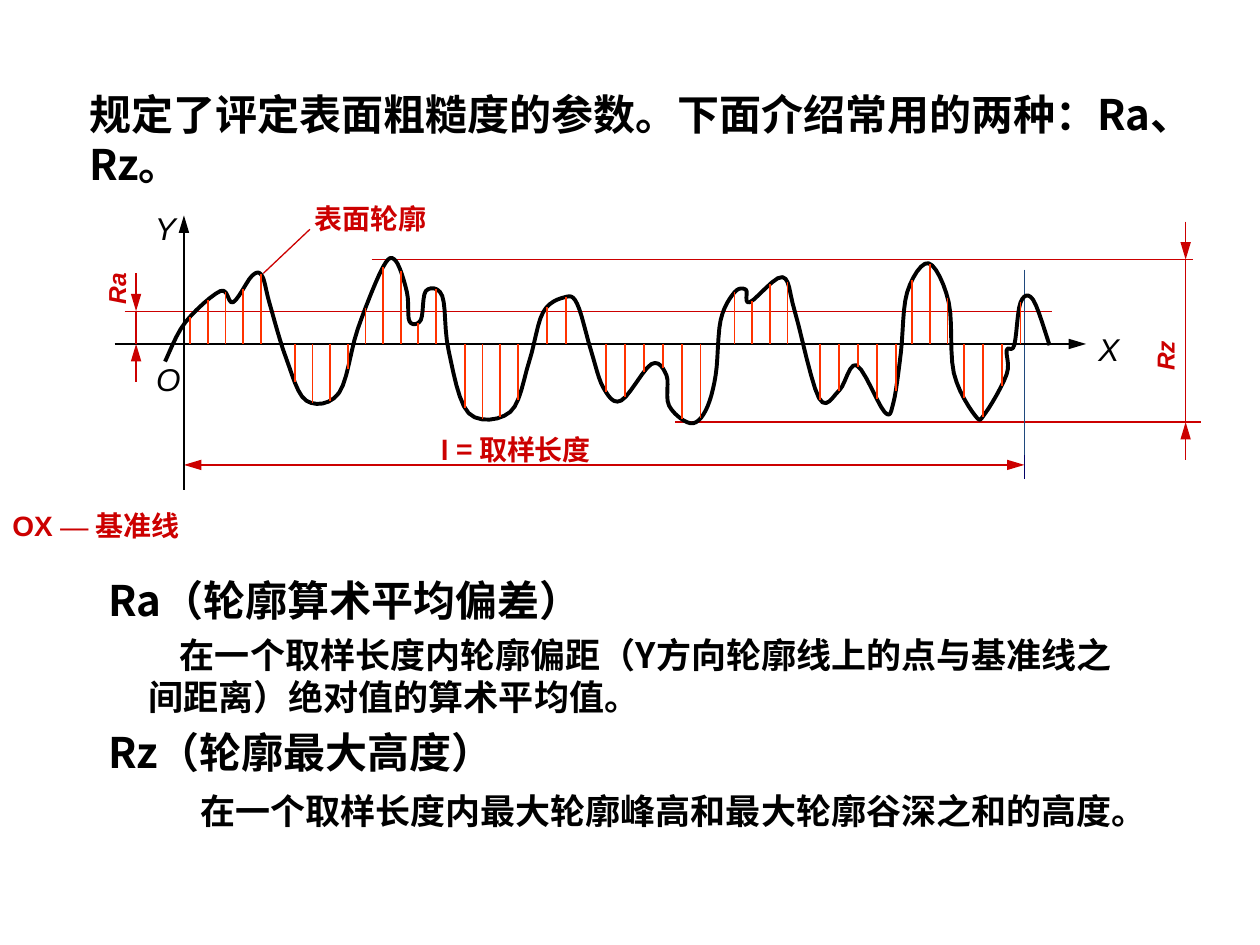
from dataclasses import dataclass

from lxml.etree import SubElement
from pptx import Presentation
from pptx.dml.color import RGBColor
from pptx.enum.shapes import MSO_CONNECTOR
from pptx.enum.text import MSO_AUTO_SIZE
from pptx.oxml.ns import qn
from pptx.util import Inches, Pt

COLORS = {
    "ink": "000000",
    "dimension": "CC0000",
    "hatch": "FF3300",
    "limit": "000066",
    "limit_edge": "1F497D",
}
CJK_FONT = "Noto Sans CJK SC"
BASELINE = 2.73
PEAK, VALLEY, MEAN = 2.06, 3.35, 2.47
ORIGIN_X, SAMPLE_END, RZ_X, RA_X = 1.46, 8.13, 9.41, 1.08
ARROW_REACH = 0.3
CURVE_STEPS = 6

Point = tuple[float, float]


@dataclass
class Line:
    start: Point
    end: Point
    color: str = "dimension"
    width: float = 0.75
    head: bool = False
    tail: bool = False


@dataclass
class Label:
    left: float
    top: float
    width: float
    paragraphs: list[list[tuple[str, str]]]
    size: int = 16
    color: str = "dimension"
    bold: bool = True
    italic: bool = False
    rotation: int = 0
    wrap: bool = True
    indent: float = 0
    gap: float = 0


@dataclass
class HatchGroup:
    start: float
    count: int
    pitch: float = 0.14


def draw_line(slide, line: Line) -> None:
    ends = [Inches(value) for value in (*line.start, *line.end)]
    connector = slide.shapes.add_connector(MSO_CONNECTOR.STRAIGHT, *ends)
    connector.line.color.rgb = RGBColor.from_string(COLORS[line.color])
    connector.line.width = Pt(line.width)
    outline = connector.line._get_or_add_ln()
    for tag, shown in (("a:headEnd", line.head), ("a:tailEnd", line.tail)):
        if shown:
            SubElement(outline, qn(tag), type="triangle", w="med", len="lg")
    SubElement(connector._element.spPr, qn("a:effectLst"))


def draw_gauge(slide, x: float, top: float, bottom: float) -> None:
    draw_line(slide, Line((x, top - ARROW_REACH), (x, top), tail=True))
    draw_line(slide, Line((x, top), (x, bottom)))
    draw_line(slide, Line((x, bottom + ARROW_REACH), (x, bottom), tail=True))


def draw_label(slide, label: Label) -> None:
    height = 0.1 + label.size * 1.2 / 72
    box = slide.shapes.add_textbox(*map(Inches, (label.left, label.top, label.width, height)))
    box.rotation = label.rotation
    frame = box.text_frame
    frame.word_wrap = label.wrap
    frame.auto_size = MSO_AUTO_SIZE.SHAPE_TO_FIT_TEXT
    for index, runs in enumerate(label.paragraphs):
        paragraph = frame.paragraphs[0] if index == 0 else frame.add_paragraph()
        if index:
            paragraph.space_before = Pt(label.gap)
        if label.indent:
            paragraph._p.get_or_add_pPr().set("indent", str(Inches(label.indent)))
        font = paragraph.font
        font.size = Pt(label.size)
        font.bold = label.bold
        font.italic = label.italic
        font.color.rgb = RGBColor.from_string(COLORS[label.color])
        font.name = runs[0][1]
        defaults = paragraph._p.pPr.find(qn("a:defRPr"))
        SubElement(defaults, qn("a:ea"), typeface=CJK_FONT)
        for text, font_name in runs:
            run = paragraph.add_run()
            run.text = text
            if len(runs) > 1:
                run.font.name = font_name


def smooth_curve(knots: list[Point]) -> list[Point]:
    padded = [knots[0], *knots, knots[-1]]
    curve = [knots[0]]
    for before, start, end, after in zip(padded, padded[1:], padded[2:], padded[3:]):
        for step in range(1, CURVE_STEPS + 1):
            t = step / CURVE_STEPS
            curve.append(tuple(
                b + (c - a) * t / 2
                + (2 * a - 5 * b + 4 * c - d) * t**2 / 2
                + (3 * b - a - 3 * c + d) * t**3 / 2
                for a, b, c, d in zip(before, start, end, after)
            ))
    return curve


def height_at(curve: list[Point], x: float) -> float:
    for (x0, y0), (x1, y1) in zip(curve, curve[1:]):
        if x0 <= x < x1:
            return y0 + (y1 - y0) * (x - x0) / (x1 - x0)
    return BASELINE


def draw_profile(slide, curve: list[Point]) -> None:
    points = [(Inches(x), Inches(y)) for x, y in curve]
    builder = slide.shapes.build_freeform(*points[0])
    builder.add_line_segments(points[1:], close=False)
    profile = builder.convert_to_shape()
    profile.shadow.inherit = False
    profile.fill.background()
    profile.line.color.rgb = RGBColor.from_string(COLORS["ink"])
    profile.line.width = Pt(2.25)


def draw_hatch(slide, group: HatchGroup, curve: list[Point]) -> None:
    for index in range(group.count):
        x = group.start + index * group.pitch
        draw_line(slide, Line((x, BASELINE), (x, height_at(curve, x)), "hatch", 1))


PROFILE = [
    (1.31, 2.87), (1.47, 2.56), (1.75, 2.31), (1.85, 2.4), (2, 2.19), (2.08, 2.19),
    (2.14, 2.41), (2.27, 2.84), (2.43, 3.18), (2.69, 3.12), (2.84, 2.61), (3.04, 2.12),
    (3.14, 2.07), (3.23, 2.32), (3.25, 2.55), (3.34, 2.54), (3.38, 2.31), (3.51, 2.35),
    (3.56, 2.78), (3.72, 3.28), (4.05, 3.27), (4.2, 2.87), (4.31, 2.48), (4.48, 2.36),
    (4.58, 2.41), (4.69, 2.78), (4.79, 3.08), (4.93, 3.18), (5.17, 2.89), (5.29, 2.98),
    (5.31, 3.22), (5.48, 3.36), (5.6, 3.26), (5.68, 2.98), (5.72, 2.54), (5.83, 2.32),
    (5.92, 2.3), (5.95, 2.4), (6.21, 2.2), (6.31, 2.48), (6.5, 3.16), (6.66, 3.1),
    (6.8, 2.9), (7.02, 3.27), (7.09, 3.2), (7.15, 2.8), (7.2, 2.32), (7.37, 2.09),
    (7.53, 2.4), (7.57, 2.96), (7.74, 3.3), (7.82, 3.28), (7.99, 2.97), (7.99, 2.78),
    (8.05, 2.74), (8.1, 2.4), (8.2, 2.38), (8.33, 2.74),
]
HATCHING = [
    HatchGroup(1.51, 5), HatchGroup(2.34, 9), HatchGroup(3.69, 4),
    HatchGroup(4.34, 2, 0.15), HatchGroup(4.81, 6, 0.15), HatchGroup(5.83, 4),
    HatchGroup(6.51, 5, 0.15), HatchGroup(7.24, 3), HatchGroup(7.65, 4, 0.15),
]
LINES = [
    Line((0.99, MEAN), (8.35, MEAN)),
    Line((SAMPLE_END, 2.93), (SAMPLE_END, 3.8), "limit"),
    Line((ORIGIN_X, 3.69), (SAMPLE_END, 3.69), head=True, tail=True),
    Line((2.09, 2.17), (2.46, 1.82)),
    Line((2.95, PEAK), (9.47, PEAK)),
    Line((5.36, VALLEY), (9.53, VALLEY)),
    Line((SAMPLE_END, 2.14), (SAMPLE_END, 3.61), "limit_edge", 1),
    Line((ORIGIN_X, 1.71), (ORIGIN_X, 3.89), "ink", 1, head=True),
    Line((0.91, BASELINE), (8.62, BASELINE), "ink", 1, tail=True),
]
LABELS = [
    Label(0.61, 0.65, 9.27,
          [[("规定了评定表面粗糙度的参数。下面介绍常用的两种：Ra、Rz。", CJK_FONT)]], 24, "ink"),
    Label(3.4, 3.38, 2.79, [[("l ", "Arial"), ("= 取样长度", CJK_FONT)]]),
    Label(0, 3.99, 1.54,
          [[("OX ", "Arial"), ("— ", "Times New Roman"), ("基准线", CJK_FONT)]]),
    Label(2.4, 1.55, 1.1, [[("表面轮廓", "Times New Roman")]], wrap=False),
    Label(0.65, 2.07, 0.55, [[("Ra", "Arial")]], 14, italic=True, rotation=270),
    Label(8.97, 2.6, 0.55, [[("Rz", "Arial")]], 14, italic=True, rotation=270),
    Label(0.76, 4.51, 4.78,
          [[("Ra（轮廓算术平均偏差）", CJK_FONT)], [("Rz（轮廓最大高度）", CJK_FONT)]],
          24, "ink", gap=58),
    Label(1.08, 4.98, 8,
          [[("在一个取样长度内轮廓偏距（Y方向轮廓线上的点与基准线之间距离）绝对值的算术平均值。",
             CJK_FONT)]], 20, "ink", indent=0.25),
    Label(0.99, 6.22, 8.62,
          [[("在一个取样长度内最大轮廓峰高和最大轮廓谷深之和的高度。", "Times New Roman")]],
          20, "ink", indent=0.5),
    Label(1.13, 1.61, 0.35, [[("Y", "Arial")]], 18, "ink", False, True),
    Label(1.14, 2.81, 0.34, [[("O", "Arial")]], 18, "ink", False, True, wrap=False),
    Label(8.62, 2.57, 0.57, [[("X", "Arial")]], 18, "ink", False, True),
]


def main() -> None:
    presentation = Presentation()
    presentation.slide_width, presentation.slide_height = Inches(10), Inches(7.5)
    slide = presentation.slides.add_slide(presentation.slide_layouts[6])
    for line in LINES:
        draw_line(slide, line)
    draw_gauge(slide, RA_X, MEAN, BASELINE)
    draw_gauge(slide, RZ_X, PEAK, VALLEY)
    curve = smooth_curve(PROFILE)
    draw_profile(slide, curve)
    for group in HATCHING:
        draw_hatch(slide, group, curve)
    for label in LABELS:
        draw_label(slide, label)
    presentation.save("out.pptx")


if __name__ == "__main__":
    main()
